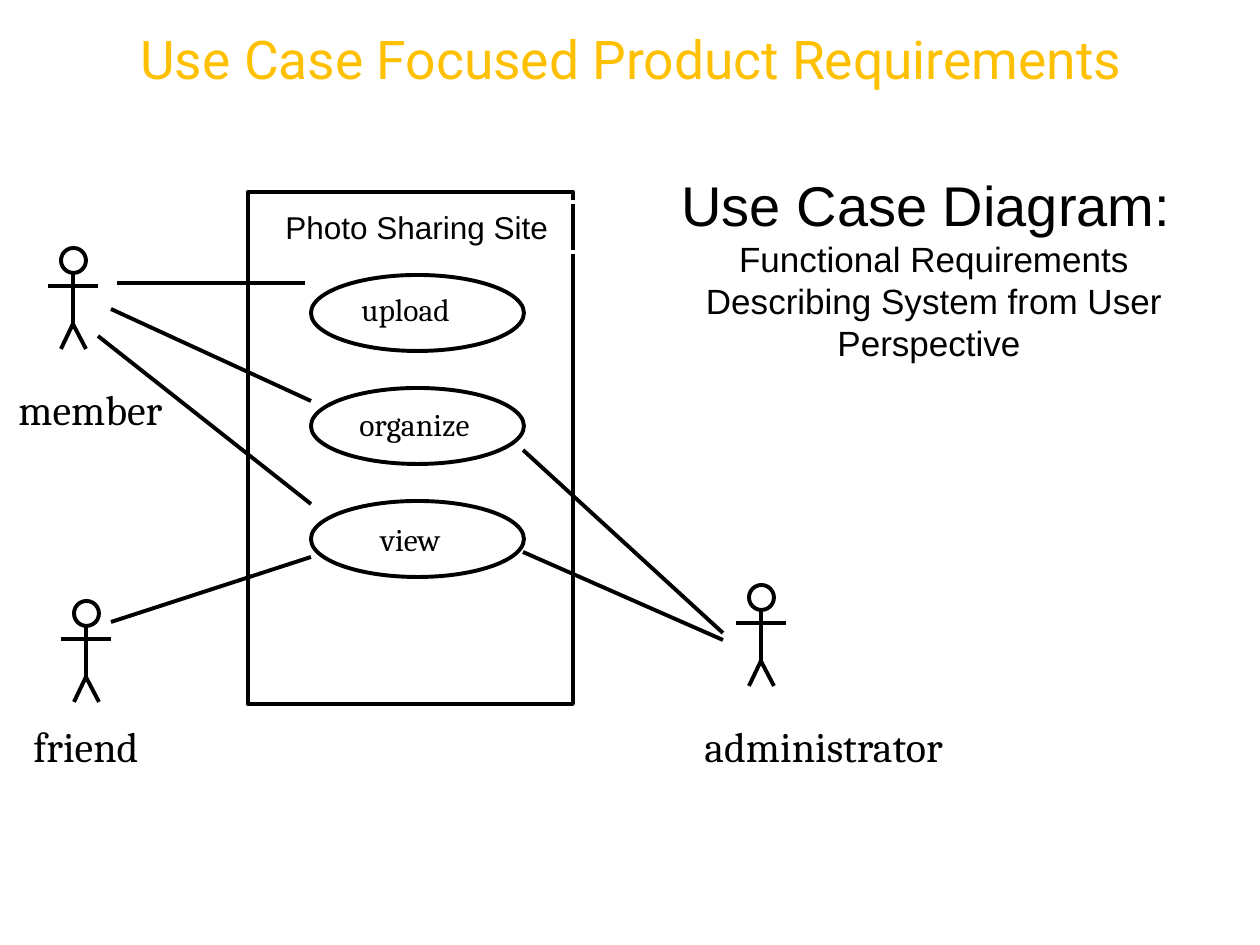
from dataclasses import dataclass

from lxml import etree
from pptx import Presentation
from pptx import util as u
from pptx.dml.color import RGBColor
from pptx.enum import shapes, text
from pptx.oxml.ns import qn

PX = u.Inches(1) / 126
BLACK, WHITE, GOLD = "000000", "FFFFFF", "FFC000"
LINE_WIDTH = u.Pt(2.25)


@dataclass
class Actor:
    center: int
    top: int


@dataclass
class Label:
    words: str
    left: int
    top: int
    width: int
    height: int
    size: int
    font: str = "Cambria"
    outlined: bool = False
    wrap: bool = False


@dataclass
class Link:
    x1: int
    y1: int
    x2: int
    y2: int


ACTORS = [Actor(73, 248), Actor(761, 585), Actor(86, 601)]
LABELS = [
    Label("member", 6, 377, 183, 64, 24, outlined=True),
    Label("friend", 21, 714, 139, 64, 24, outlined=True),
    Label("administrator", 692, 714, 285, 64, 24, outlined=True),
    Label("Photo Sharing Site", 273, 202, 311, 50, 18, "Arial", True, True),
    Label("upload", 349, 284, 155, 50, 18, wrap=True),
    Label("organize", 347, 399, 145, 50, 18),
    Label("view", 368, 514, 89, 50, 18),
]
LINKS = [
    Link(117, 283, 305, 283),  # member to upload
    Link(111, 309, 311, 401),  # member to organize
    Link(98, 336, 311, 504),   # member to view
    Link(111, 622, 311, 557),  # friend to view
    Link(723, 633, 523, 450),  # administrator to organize
    Link(723, 640, 523, 552),  # administrator to view
]


def emu(*lengths: int) -> list[int]:
    return [round(length * PX) for length in lengths]


def color(value: str) -> RGBColor:
    return RGBColor.from_string(value)


def apply(target, values: dict) -> None:
    for name, value in values.items():
        setattr(target, name, value)


def style_text(span, font: str, size: float, tint: str = BLACK) -> None:
    apply(span.font, {"name": font, "size": u.Pt(size), "bold": False})
    span.font.color.rgb = color(tint)


def outline(shape, tint: str = BLACK) -> None:
    shape.shadow.inherit = False
    shape.fill.background()
    shape.line.color.rgb = color(tint)
    shape.line.width = LINE_WIDTH


def draw_shape(parent, kind, left: int, top: int, width: int, height: int) -> None:
    outline(parent.add_shape(kind, *emu(left, top, width, height)))


def draw_line(parent, link: Link) -> None:
    line = parent.add_connector(shapes.MSO_CONNECTOR.STRAIGHT,
                                *emu(link.x1, link.y1, link.x2, link.y2))
    line.line.color.rgb = color(BLACK)
    line.line.width = LINE_WIDTH
    properties = line._element.find(qn("p:spPr"))
    etree.SubElement(properties, qn("a:effectLst"))


def draw_actor(page, actor: Actor) -> None:
    x, y = actor.center, actor.top
    parts = page.shapes.add_group_shape().shapes
    draw_shape(parts, shapes.MSO_SHAPE.OVAL, x - 12, y, 25, 25)
    draw_line(parts, Link(x, y + 25, x, y + 76))
    draw_line(parts, Link(x - 25, y + 38, x + 25, y + 38))
    legs = parts.build_freeform(x - 12, y + 101, scale=PX)
    legs.add_line_segments([(x, y + 76), (x + 13, y + 101)], close=False)
    outline(legs.convert_to_shape())


def draw_label(page, label: Label) -> None:
    place = emu(label.left, label.top, label.width, label.height)
    if label.outlined:
        box = page.shapes.add_shape(shapes.MSO_SHAPE.RECTANGLE, *place)
        outline(box, WHITE)
    else:
        box = page.shapes.add_textbox(*place)
    apply(box.text_frame, {
        "word_wrap": label.wrap,
        "auto_size": text.MSO_AUTO_SIZE.SHAPE_TO_FIT_TEXT,
        "vertical_anchor": text.MSO_ANCHOR.TOP,
    })
    para = box.text_frame.paragraphs[0]
    para.alignment = text.PP_ALIGN.LEFT
    span = para.add_run()
    span.text = label.words
    style_text(span, label.font, label.size)


def draw_title(page) -> None:
    title = page.shapes.title
    apply(title, dict(zip(("left", "top", "width", "height"),
                          emu(21, 31, 1220, 113))))
    apply(title.text_frame, {
        "word_wrap": True,
        "auto_size": text.MSO_AUTO_SIZE.NONE,
        "vertical_anchor": text.MSO_ANCHOR.TOP,
        "margin_top": emu(13)[0],
    })
    para = title.text_frame.paragraphs[0]
    apply(para, {"alignment": text.PP_ALIGN.CENTER, "line_spacing": 0.7})
    span = para.add_run()
    span.text = "Use Case Focused Product Requirements"
    style_text(span, "Roboto", 30.5, GOLD)


def draw_caption(page) -> None:
    box = page.shapes.add_textbox(*emu(650, 145, 568, 244))
    apply(box.text_frame, {"word_wrap": True,
                           "vertical_anchor": text.MSO_ANCHOR.MIDDLE})
    para = box.text_frame.paragraphs[0]
    para.alignment = text.PP_ALIGN.CENTER
    heading = para.add_run()
    heading.text = "Use Case Diagram: "
    style_text(heading, "Arial", 32)
    para.add_line_break()
    detail = para.add_run()
    detail.text = "Functional Requirements Describing System from User Perspective "
    style_text(detail, "Arial", 20)


def main() -> None:
    deck = Presentation()
    deck.slide_width, deck.slide_height = u.Inches(10), u.Inches(7.5)
    page = deck.slides.add_slide(deck.slide_layouts[5])

    # Title and explanation
    draw_title(page)
    draw_caption(page)

    # System boundary, actors and use cases
    draw_shape(page.shapes, shapes.MSO_SHAPE.RECTANGLE, 248, 192, 325, 512)
    for actor in ACTORS:
        draw_actor(page, actor)
    for row in range(3):
        draw_shape(page.shapes, shapes.MSO_SHAPE.OVAL, 311, 275 + 113 * row, 213, 76)

    # Names, then the links on top
    for label in LABELS:
        draw_label(page, label)
    for link in LINKS:
        draw_line(page.shapes, link)

    deck.save("out.pptx")


if __name__ == "__main__":
    main()
